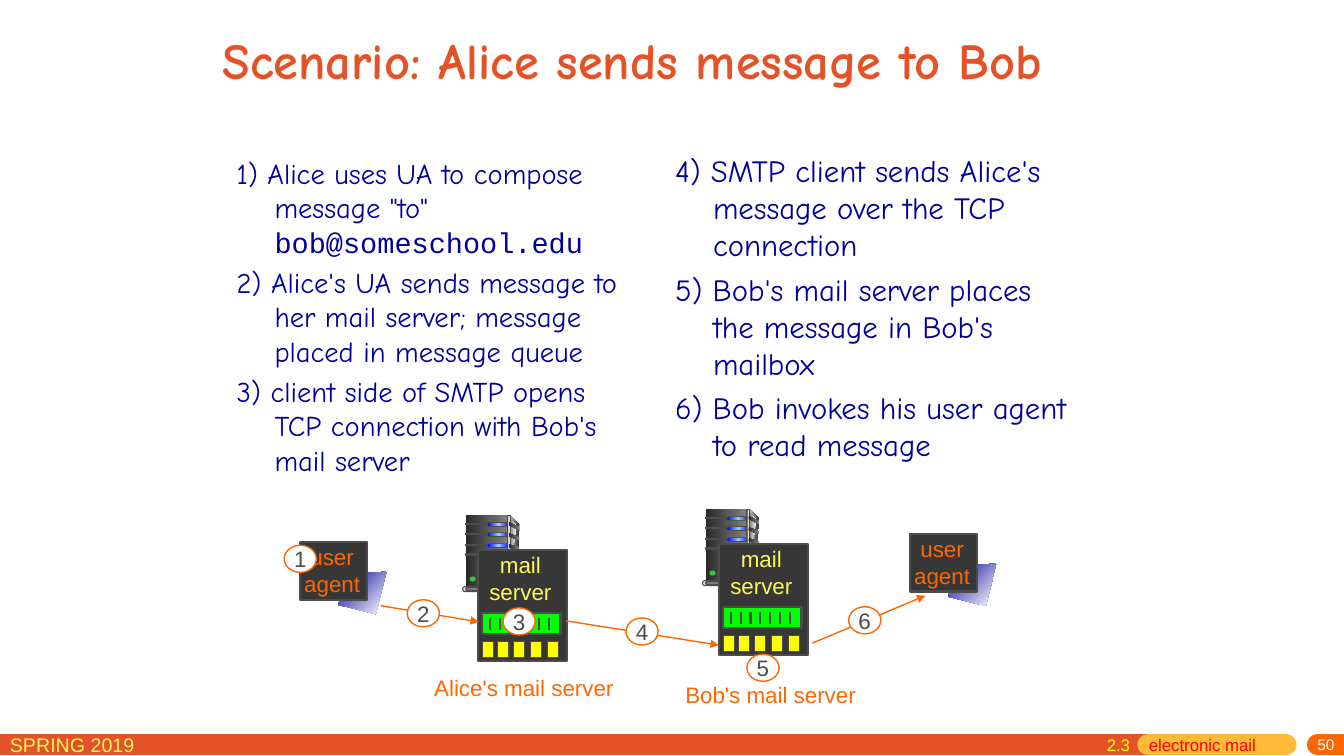
from lxml.etree import SubElement
from pptx import Presentation
from pptx.dml.color import RGBColor
from pptx.enum.shapes import MSO_CONNECTOR, MSO_SHAPE
from pptx.enum.text import MSO_ANCHOR, PP_ALIGN
from pptx.oxml.ns import qn
from pptx.util import Pt

ORANGE, GRAY, DARK, YELLOW, NAVY = "FF6600", "4C4C4C", "373737", "FFF65C", "000099"
METAL = ("292929", "808080")
BLUE = ("0000FF", "99CCFF", "0000FF")
SCREEN = (NAVY, "FFFFFF")


def rgb(value):
    return RGBColor.from_string(value)


class Deck:
    font = "Arial"
    size = 16

    def __init__(self):
        self.prs = Presentation()
        self.prs.slide_width = Pt(960)
        self.prs.slide_height = Pt(540)
        self.s = self.prs.slides.add_slide(self.prs.slide_layouts[6])

    def paint(self, sp, fill, line=None, width=0.75, angle=0):
        sp.shadow.inherit = False
        if isinstance(fill, str):
            sp.fill.solid()
            sp.fill.fore_color.rgb = rgb(fill)
        else:
            sp.fill.gradient()
            sp.fill.gradient_angle = -angle % 360
            stops = sp.element.spPr.find(qn("a:gradFill")).find(qn("a:gsLst"))
            stops.clear()
            for i, color in enumerate(fill):
                gs = SubElement(stops, qn("a:gs"), pos=str(100000 * i // (len(fill) - 1)))
                SubElement(gs, qn("a:srgbClr"), val=color)
        if line:
            sp.line.color.rgb = rgb(line)
            sp.line.width = Pt(width)
        else:
            sp.line.fill.background()

    def shape(self, kind, x, y, w, h, fill, line=None, width=0.75):
        sp = self.s.shapes.add_shape(kind, Pt(x), Pt(y), Pt(w), Pt(h))
        if kind == MSO_SHAPE.ROUNDED_RECTANGLE:
            sp.adjustments[0] = 0.5
        self.paint(sp, fill, line, width)
        return sp

    def rect(self, *args):
        return self.shape(MSO_SHAPE.RECTANGLE, *args)

    def pill(self, *args):
        return self.shape(MSO_SHAPE.ROUNDED_RECTANGLE, *args)

    def oval(self, *args):
        return self.shape(MSO_SHAPE.OVAL, *args)

    def polygon(self, x, y, points, fill, angle=0):
        points = [(Pt(x + dx), Pt(y + dy)) for dx, dy in points]
        fb = self.s.shapes.build_freeform(*points[0])
        fb.add_line_segments(points[1:], close=True)
        self.paint(fb.convert_to_shape(), fill, angle=angle)

    def line(self, x1, y1, x2, y2, color, width, arrow=False, cap="flat"):
        c = self.s.shapes.add_connector(MSO_CONNECTOR.STRAIGHT, Pt(x1), Pt(y1), Pt(x2), Pt(y2))
        c.line.color.rgb = rgb(color)
        c.line.width = Pt(width)
        ln = c.line._get_or_add_ln()
        ln.set("cap", cap)
        if arrow:
            SubElement(ln, qn("a:tailEnd"), type="triangle")
        SubElement(c.element.spPr, qn("a:effectLst"))

    def run(self, p, text, color, size=None, font=None, bold=False):
        r = p.add_run()
        r.text = text
        r.font.name = font or self.font
        r.font.size = Pt(size or self.size)
        r.font.bold = bold
        r.font.color.rgb = rgb(color)

    def text(self, x, y, w, h, paragraphs, wrap=True, align=PP_ALIGN.LEFT,
             anchor=MSO_ANCHOR.TOP, hang=0, gap=0, tab=0):
        tf = self.s.shapes.add_textbox(Pt(x), Pt(y), Pt(w), Pt(h)).text_frame
        tf.word_wrap = wrap
        tf.vertical_anchor = anchor
        for i, runs in enumerate(paragraphs):
            p = tf.add_paragraph() if i else tf.paragraphs[0]
            p.alignment = align
            if i and gap:
                p.space_before = Pt(gap)
            pPr = p._p.get_or_add_pPr()
            if hang:
                pPr.set("marL", str(Pt(hang)))
                pPr.set("indent", str(-Pt(hang)))
            if tab:
                tabs = SubElement(pPr, qn("a:tabLst"))
                SubElement(tabs, qn("a:tab"), pos=str(Pt(tab)), algn="l")
            for run in runs:
                self.run(p, *run)
        return tf

    def caption(self, x, y, w, words, color):
        self.text(x, y, w, 46, [[(word, color)] for word in words], False, PP_ALIGN.CENTER)

    def user_agent(self, x, y):
        self.polygon(x, y, [(61.5, 21), (32.5, 22.5), (27.2, 44.7), (54, 51.2)], SCREEN, 45)
        self.rect(x, y, 47.5, 41, DARK, GRAY, 1.5)
        self.caption(x - 4.6, y - 2.9, 54.7, ("user", "agent"), ORANGE)

    def rack(self, x, y):
        self.polygon(x, y, [(33.8, 0), (40.3, 6.5), (39.6, 49.7), (32.4, 51.8)], ("DDDDDD", "333333"))
        self.rect(x + 2.2, y, 29.5, 51.8, METAL)
        self.polygon(x, y, [(33.8, 2.9), (38.2, 7.2), (34.6, 36), (33.8, 50.4)], ("808080", "F8F8F8"))
        for slot in (5.8, 13, 20.9, 27.4):
            self.rect(x + 2.2, y + slot, 16.6, 1.2, GRAY, GRAY)
        for slot in (5.8, 13, 20.9):
            self.pill(x + 17.3, y + slot - 0.7, 16.6, 3.3, GRAY)
            self.pill(x + 17.8, y + slot, 15.8, 2.2, BLUE)
        self.rect(x + 31.7, y, 2.2, 51.8, ("333333", "DDDDDD", "333333"), GRAY)
        for vent, drop in ((5, 3.6), (13, 2.9), (20.9, 2.2)):
            self.polygon(x, y + vent, [(33.1, 0), (40.3, drop), (40.3, drop + 2.2), (32.8, 2)], METAL)
        self.pill(x, y + 51.1, 33.8, 3.6, "DDDDDD", GRAY)
        self.pill(x + 2.2, y + 51.8, 30.2, 2.2, ("777777", "B2B2B2"), GRAY)
        for dx, color in ((5, "33CC33"), (10.1, "FF0000")):
            self.oval(x + dx, y + 43.9, 4.3, 3.6, color)

    def mail_server(self, x, y):
        self.rect(x, y, 64, 79.2, DARK, GRAY, 1.5)
        self.caption(x + 0.9, y - 2.9, 59, ("mail", "server"), YELLOW)
        self.rect(x + 2.9, y + 44.6, 56.2, 15.1, "00FF00", GRAY, 1.5)
        for i in range(7):
            tick = x + 8.6 + 7.05 * i
            self.line(tick, y + 48.2, tick, y + 56.9, GRAY, 1.5)
        for dx in (3.6, 14.4, 25.2, 37.4, 49.7):
            self.rect(x + dx, y + 65.2, 7.9, 11.5, "FFFF00", GRAY)

    def step(self, number, x, y):
        sp = self.oval(x, y, 23, 19.4, "FFFFFF", ORANGE, 1)
        tf = sp.text_frame
        tf.word_wrap = False
        tf.vertical_anchor = MSO_ANCHOR.MIDDLE
        p = tf.paragraphs[0]
        p.alignment = PP_ALIGN.CENTER
        self.run(p, str(number), GRAY)

    def steps_text(self, x, y, size, items, gap):
        paragraphs = [[(text, NAVY, size, font) for text, font in runs] for runs in items]
        self.text(x, y, 300, 255, paragraphs, hang=27, gap=gap)


def main():
    deck = Deck()
    comic = "Comic Neue"
    for x1, x2, color in ((0, 820, "E45327"), (820, 918.7, "FFBA37"), (941, 960, ORANGE)):
        deck.line(x1, 532, x2, 532, color, 15, cap="rnd")
    deck.text(0, 519.8, 165, 22.3, [[("SPRING 2019", YELLOW, 14)]])
    page = deck.text(774, 527, 186.3, 13, [[("50", "FFFFFF", 11)]],
                     align=PP_ALIGN.RIGHT, anchor=MSO_ANCHOR.MIDDLE)
    page.margin_top = 0

    deck.user_agent(214.5, 387.4)
    deck.rack(501.8, 363.6)
    deck.rack(330.5, 367.9)

    deck.text(151.9, 1.4, 687.6, 81.4,
              [[("Scenario: Alice sends message to Bob", "E45327", 36, comic, True)]],
              anchor=MSO_ANCHOR.MIDDLE)
    deck.steps_text(162, 108, 20.4, [
        [("1) Alice uses UA to compose message \"to\" ", comic), ("bob@someschool.edu", "Courier New")],
        [("2) Alice's UA sends message to her mail server; message placed in message queue", comic)],
        [("3) client side of SMTP opens TCP connection with Bob's mail server", comic)]], 4.3)
    deck.steps_text(475.2, 105.1, 22, [
        [("4) SMTP client sends Alice's message over the TCP connection", comic)],
        [("5) Bob's mail server places the message in Bob's mailbox", comic)],
        [("6) Bob invokes his user agent to read message", comic)]], 5.3)

    deck.mail_server(341.3, 393.1)
    deck.mail_server(513.4, 388.8)
    for ends in ((272.2, 432.7, 342, 444.2), (404.6, 443.5, 513.4, 460.8), (580.3, 459.4, 661, 425.5)):
        deck.line(*ends, ORANGE, 1, arrow=True)
    centers = ((203, 389.5), (290.9, 428.4), (359.3, 434.2), (447.1, 441.4), (533.5, 467.3), (606.2, 433.4))
    for number, (x, y) in enumerate(centers, 1):
        deck.step(number, x, y)
    for x, y, w, owner in ((303.1, 478.1, 149, "Alice"), (482.4, 483.1, 142.6, "Bob")):
        deck.text(x, y, w, 26.6, [[(f"{owner}'s mail server", ORANGE)]], wrap=False, hang=27)
    deck.user_agent(650.2, 381.6)
    deck.text(783.5, 521.3, 153.4, 22.3,
              [[("2.3\t", "FFFF00", 12), ("electronic mail", "FF0000", 12)]], tab=30)
    deck.prs.save("out.pptx")


if __name__ == "__main__":
    main()
